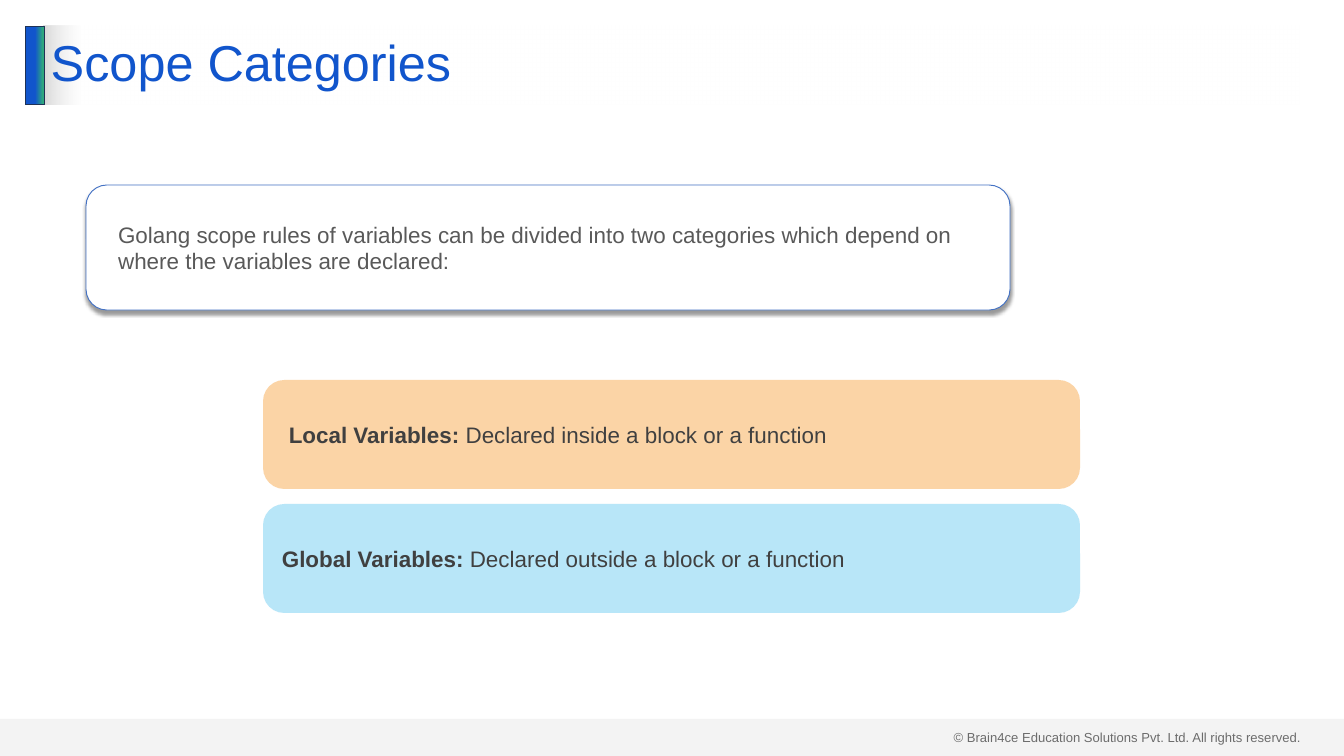
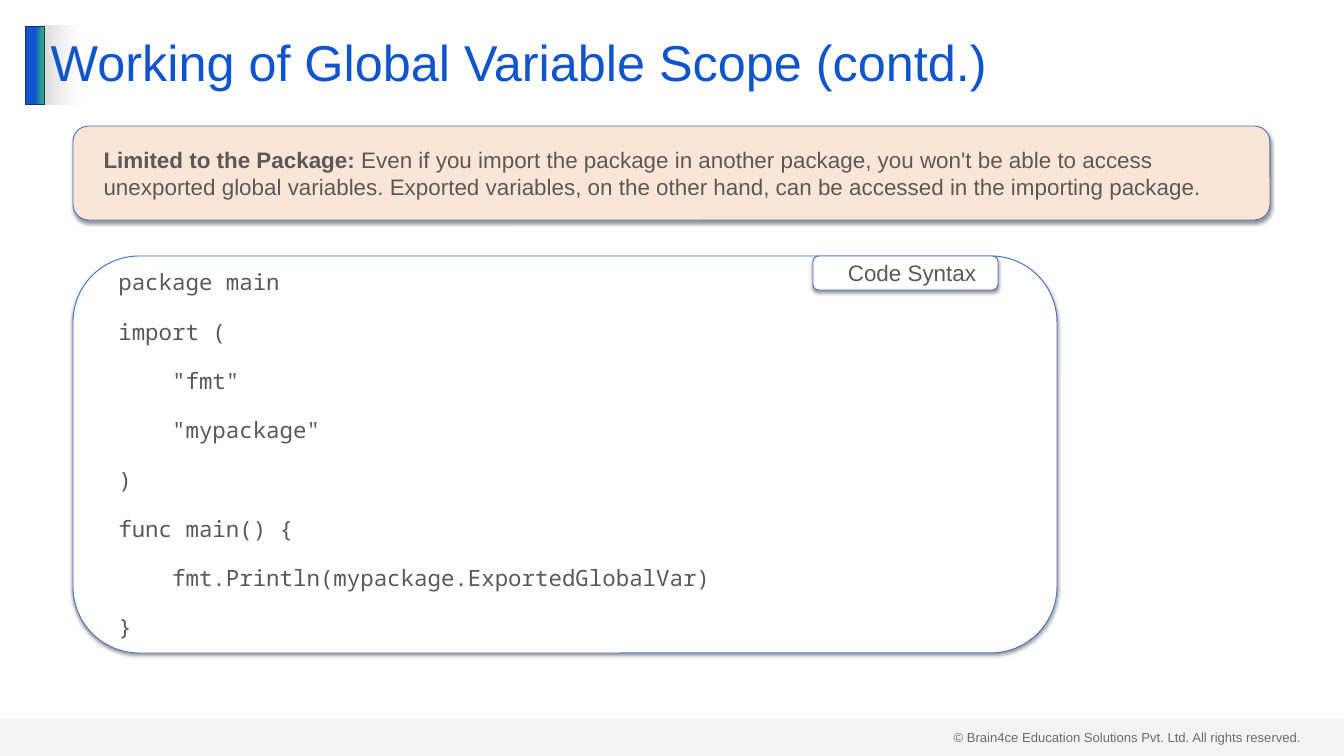
from dataclasses import dataclass

from lxml.etree import SubElement
from pptx import Presentation
from pptx.dml.color import RGBColor
from pptx.enum.shapes import MSO_SHAPE
from pptx.enum.text import MSO_ANCHOR, PP_ALIGN
from pptx.oxml.ns import qn
from pptx.util import Emu, Pt

EMU_PER_PX = 914400 / 67.2


@dataclass(frozen=True)
class Theme:
    blue: str = "1155CC"
    green: str = "2EA87D"
    navy: str = "1E3256"
    outline: str = "4472C4"
    gray: str = "D9D9D9"
    white: str = "FFFFFF"
    black: str = "000000"
    peach: str = "FBE5D6"
    orange: str = "FABE79"
    sky: str = "94DAF5"
    body: str = "595959"
    dark: str = "404040"
    font: str = "Arial"
    code_font: str = "Noto Sans Mono"
    title_size: int = 54
    body_size: int = 24
    footer_size: int = 14


@dataclass(frozen=True)
class Box:
    left: int
    top: int
    width: int
    height: int

    def emu(self):
        return [px(n) for n in (self.left, self.top, self.width, self.height)]


THEME = Theme()
SLIDE = Box(0, 0, 1344, 756)
TITLE = Box(44, 26, 1255, 79)
FOOTER = Box(0, 719, 1344, 37)
COPYRIGHT = "© Brain4ce Education Solutions Pvt. Ltd. All rights reserved."
CODE = """package main
import (
    "fmt"
    "mypackage"
)
func main() {
    fmt.Println(mypackage.ExportedGlobalVar)
}"""


def px(length):
    return Emu(round(length * EMU_PER_PX))


def rgb(color):
    return RGBColor.from_string(color)


def set_alpha(shape, percent):
    """Make the last colour of the shape's fill translucent."""
    color = shape.element.xpath("./p:spPr//a:srgbClr")[-1]
    SubElement(color, qn("a:alpha"), val=str(percent * 1000))


def fill_gradient(shape, *stops):
    shape.fill.gradient()
    shape.fill.gradient_angle = 0
    for stop, (position, color) in zip(shape.fill.gradient_stops, stops):
        stop.position = position
        stop.color.rgb = rgb(color)


def add_shadow(shape):
    effects = shape.element.spPr.find(qn("a:effectLst"))
    shadow = SubElement(effects, qn("a:outerShdw"), blurRad=str(Pt(4)), dist=str(Pt(3)),
                        dir="5400000", algn="t", rotWithShape="0")
    color = SubElement(shadow, qn("a:srgbClr"), val=THEME.black)
    SubElement(color, qn("a:alpha"), val="40000")


def format_runs(paragraph, size, color, font=THEME.font):
    for run in paragraph.runs:
        run.font.size = Pt(size)
        run.font.name = font
        run.font.color.rgb = rgb(color)


def add_plain_shape(slide, kind, box, fill=None):
    shape = slide.shapes.add_shape(kind, *box.emu())
    shape.shadow.inherit = False
    shape.line.fill.background()
    if fill:
        shape.fill.solid()
        shape.fill.fore_color.rgb = rgb(fill)
    return shape


def write_text(shape, text, color, lead="", indent=13, font=THEME.font,
               alignment=PP_ALIGN.LEFT):
    """Fill the shape with one paragraph a line, after an optional bold lead."""
    frame = shape.text_frame
    frame.word_wrap = True
    frame.vertical_anchor = MSO_ANCHOR.MIDDLE
    frame.text = lead or text
    if lead:
        frame.paragraphs[0].runs[0].font.bold = True
        frame.paragraphs[0].add_run().text = text
    for index, paragraph in enumerate(frame.paragraphs):
        paragraph.alignment = alignment
        properties = paragraph._p.get_or_add_pPr()
        properties.set("marL", str(px(indent)))
        properties.set("indent", "0")
        if index:
            paragraph.space_before = Pt(24)
        format_runs(paragraph, THEME.body_size, color, font)


def add_card(slide, box, text, fill=THEME.white, **text_options):
    """Outlined rounded box with a shadow."""
    card = add_plain_shape(slide, MSO_SHAPE.ROUNDED_RECTANGLE, box, fill)
    card.line.color.rgb = rgb(THEME.outline)
    card.line.width = Pt(1)
    add_shadow(card)
    frame = card.text_frame
    frame.margin_left = frame.margin_right = px(13)
    frame.margin_top = frame.margin_bottom = px(7)
    write_text(card, text, THEME.body, **text_options)


def add_category(slide, box, fill, lead, text, indent):
    category = add_plain_shape(slide, MSO_SHAPE.ROUNDED_RECTANGLE, box, fill)
    category.adjustments[0] = 0.195
    set_alpha(category, 66)
    write_text(category, text, THEME.dark, lead=lead, indent=indent)


def add_categories(slide, box):
    gap = 15
    height = (box.height - gap) // 2
    rows = [
        (THEME.orange, "Local Variables:", " Declared inside a block or a function", 13),
        (THEME.sky, "Global Variables:", " Declared outside a block or a function", 6),
    ]
    for index, row in enumerate(rows):
        top = box.top + index * (height + gap)
        add_category(slide, Box(box.left, top, box.width, height), *row)


def add_code_panel(slide, box):
    add_card(slide, box, CODE, font=THEME.code_font)
    add_card(slide, Box(box.left + 740, box.top, 185, 34), "Code Syntax",
             alignment=PP_ALIGN.CENTER)


def add_footer(slide, box):
    note = slide.shapes.add_textbox(*Box(box.left + 947, box.top + 7, 364, 23).emu())
    note.text_frame.word_wrap = True
    note.text_frame.text = COPYRIGHT
    format_runs(note.text_frame.paragraphs[0], THEME.footer_size, THEME.dark)
    band = add_plain_shape(slide, MSO_SHAPE.RECTANGLE, box, THEME.gray)
    set_alpha(band, 29)


def format_title(slide, box, text):
    bar = add_plain_shape(slide, MSO_SHAPE.RECTANGLE,
                          Box(box.left - 19, box.top, 20, box.height))
    fill_gradient(bar, (0.51, THEME.blue), (0.9, THEME.green))
    bar.line.color.rgb = rgb(THEME.navy)
    bar.line.width = Pt(1)

    title = slide.shapes.title
    title.left, title.top, title.width, title.height = box.emu()
    fill_gradient(title, (0, THEME.gray), (0.03, THEME.white))
    set_alpha(title, 50)
    title.text_frame.text = text
    title.text_frame.vertical_anchor = MSO_ANCHOR.MIDDLE
    paragraph = title.text_frame.paragraphs[0]
    paragraph.alignment = PP_ALIGN.LEFT
    paragraph.line_spacing = 0.9
    format_runs(paragraph, THEME.title_size, THEME.blue)


def add_titled_slide(presentation, title):
    slide = presentation.slides.add_slide(presentation.slide_layouts[5])
    add_footer(slide, FOOTER)
    format_title(slide, TITLE, title)
    return slide


def build_scope_categories(presentation):
    slide = add_titled_slide(presentation, "Scope Categories")
    add_card(slide, Box(86, 185, 924, 125),
             "Golang scope rules of variables can be divided into two categories "
             "which depend on where the variables are declared:")
    add_categories(slide, Box(263, 380, 817, 233))


def build_global_scope(presentation):
    slide = add_titled_slide(presentation, "Working of Global Variable Scope (contd.)")
    add_card(slide, Box(73, 126, 1197, 94),
             "Even if you import the package in another package, you won't be able to "
             "access unexported global variables. Exported variables, on the other hand, "
             "can be accessed in the importing package.",
             fill=THEME.peach, lead="Limited to the Package: ")
    add_code_panel(slide, Box(73, 256, 984, 397))


def main():
    presentation = Presentation()
    presentation.slide_width = px(SLIDE.width)
    presentation.slide_height = px(SLIDE.height)
    build_scope_categories(presentation)
    build_global_scope(presentation)
    presentation.save("out.pptx")


if __name__ == "__main__":
    main()
